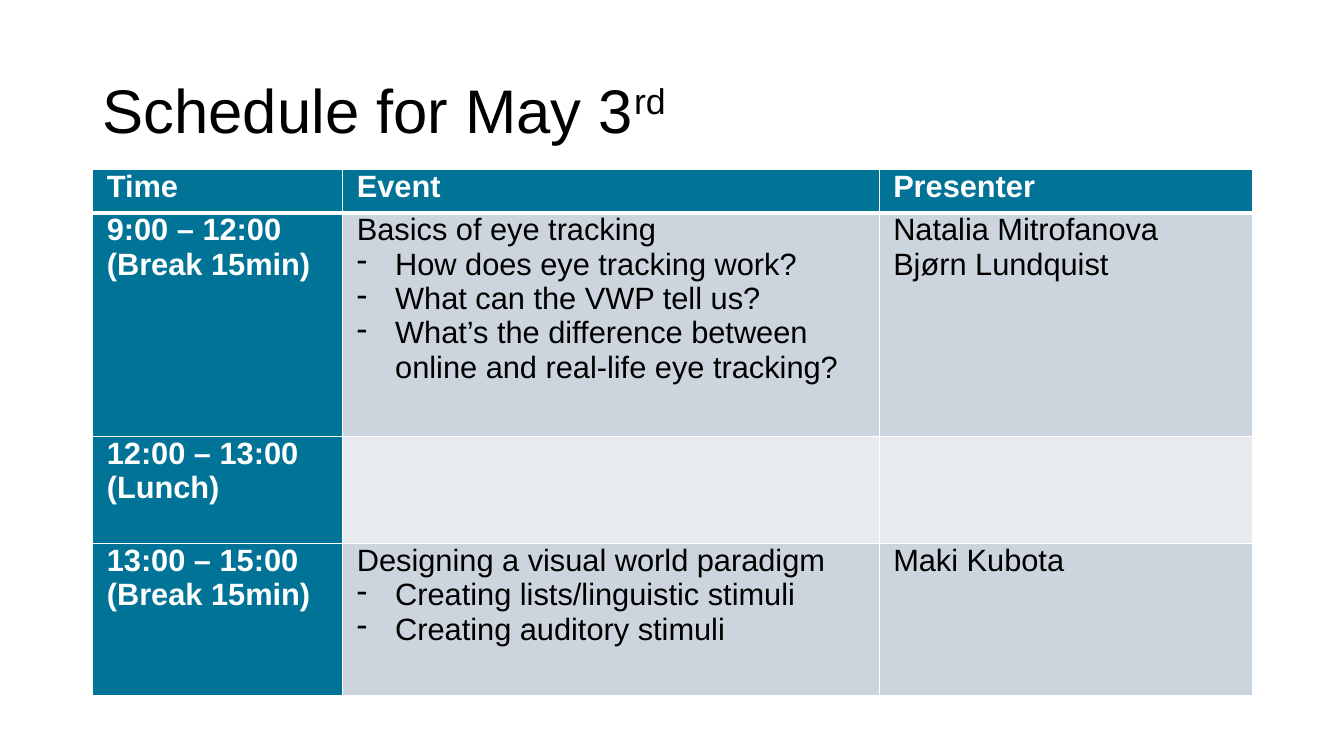
from lxml import etree
from pptx import Presentation
from pptx import util as u
from pptx.dml.color import RGBColor
from pptx.enum import text
from pptx.oxml.ns import qn

TEAL, BLUE_GREY, PALE_GREY = "007396", "CCD5DD", "E7EBEF"
WHITE, BLACK = "FFFFFF", "000000"
COLUMN_WIDTHS = [2.48, 5.32, 3.7]
ROW_HEIGHTS = [0.43, 2.22, 1.06, 1.51]
BODY_FILLS = [BLUE_GREY, PALE_GREY]
SCHEDULE = [
    [["Time"], ["Event"], ["Presenter"]],
    [["9:00 – 12:00", "(Break 15min)"],
     ["Basics of eye tracking", "- How does eye tracking work?", "- What can the VWP tell us?",
      "- What’s the difference between online and real-life eye tracking?"],
     ["Natalia Mitrofanova", "Bjørn Lundquist"]],
    [["12:00 – 13:00", "(Lunch)"], [], []],
    [["13:00 – 15:00", "(Break 15min)"],
     ["Designing a visual world paradigm", "- Creating lists/linguistic stimuli",
      "- Creating auditory stimuli"],
     ["Maki Kubota"]],
]


def color(code):
    return RGBColor.from_string(code)


class SchedulePage:
    font_name = "Arial"
    title_size = 44
    table_size = 22
    hanging = 0.38

    def __init__(self, deck):
        self.page = deck.slides.add_slide(deck.slide_layouts[6])

    def style(self, para, size, code, bold=False):
        font = para.font
        font.name, font.size, font.bold = self.font_name, u.Pt(size), bold
        font.color.rgb = color(code)

    def title(self, words, superscript, left, top, width, height):
        box = self.page.shapes.add_textbox(*map(u.Inches, (left, top, width, height)))
        frame = box.text_frame
        frame.word_wrap = True
        frame.vertical_anchor = text.MSO_ANCHOR.MIDDLE
        para = frame.paragraphs[0]
        para.line_spacing = 0.9
        para.add_run().text = words
        span = para.add_run()
        span.text = superscript
        span._r.get_or_add_rPr().set("baseline", "30000")
        self.style(para, self.title_size, BLACK)

    def bullet(self, para):
        properties = para._p.get_or_add_pPr()
        properties.set("marL", str(u.Inches(self.hanging)))
        properties.set("indent", str(-u.Inches(self.hanging)))
        etree.SubElement(properties, qn("a:buChar")).set("char", "-")

    def borders(self, cell, widths):
        properties = cell._tc.get_or_add_tcPr()
        for side, width in zip("LRTB", widths):
            line = etree.SubElement(properties, qn(f"a:ln{side}"), w=str(u.Pt(width)))
            fill = etree.SubElement(line, qn("a:solidFill"))
            etree.SubElement(fill, qn("a:srgbClr"), val=WHITE)

    def cell(self, cell, lines, fill, code, bold):
        cell.margin_left = cell.margin_right = u.Inches(0.14)
        cell.margin_top = cell.margin_bottom = 0
        cell.fill.solid()
        cell.fill.fore_color.rgb = color(fill)
        frame = cell.text_frame
        for index, line in enumerate(lines):
            para = frame.add_paragraph() if index else frame.paragraphs[0]
            if line.startswith("- "):
                self.bullet(para)
            para.add_run().text = line.removeprefix("- ")
            self.style(para, self.table_size, code, bold)

    def table(self, rows, left, top):
        table = self.page.shapes.add_table(
            len(rows), len(COLUMN_WIDTHS), u.Inches(left), u.Inches(top),
            u.Inches(sum(COLUMN_WIDTHS)), u.Inches(sum(ROW_HEIGHTS))).table
        table.first_row = table.horz_banding = False
        for column, width in zip(table.columns, COLUMN_WIDTHS):
            column.width = u.Inches(width)
        for row, height in zip(table.rows, ROW_HEIGHTS):
            row.height = u.Inches(height)
        for r, row in enumerate(rows):
            for c, lines in enumerate(row):
                heading = r == 0 or c == 0
                fill = TEAL if heading else BODY_FILLS[(r - 1) % 2]
                cell = table.cell(r, c)
                self.borders(cell, (1, 1, 3 if r == 1 else 1, 3 if r == 0 else 1))
                self.cell(cell, lines, fill, WHITE if heading else BLACK, heading)


def main():
    deck = Presentation()
    deck.slide_width, deck.slide_height = u.Inches(13.33), u.Inches(7.5)
    schedule = SchedulePage(deck)
    schedule.title("Schedule for May 3", "rd", 0.92, 0.4, 11.5, 1.45)
    schedule.table(SCHEDULE, 0.92, 1.68)
    deck.save("out.pptx")


if __name__ == "__main__":
    main()
